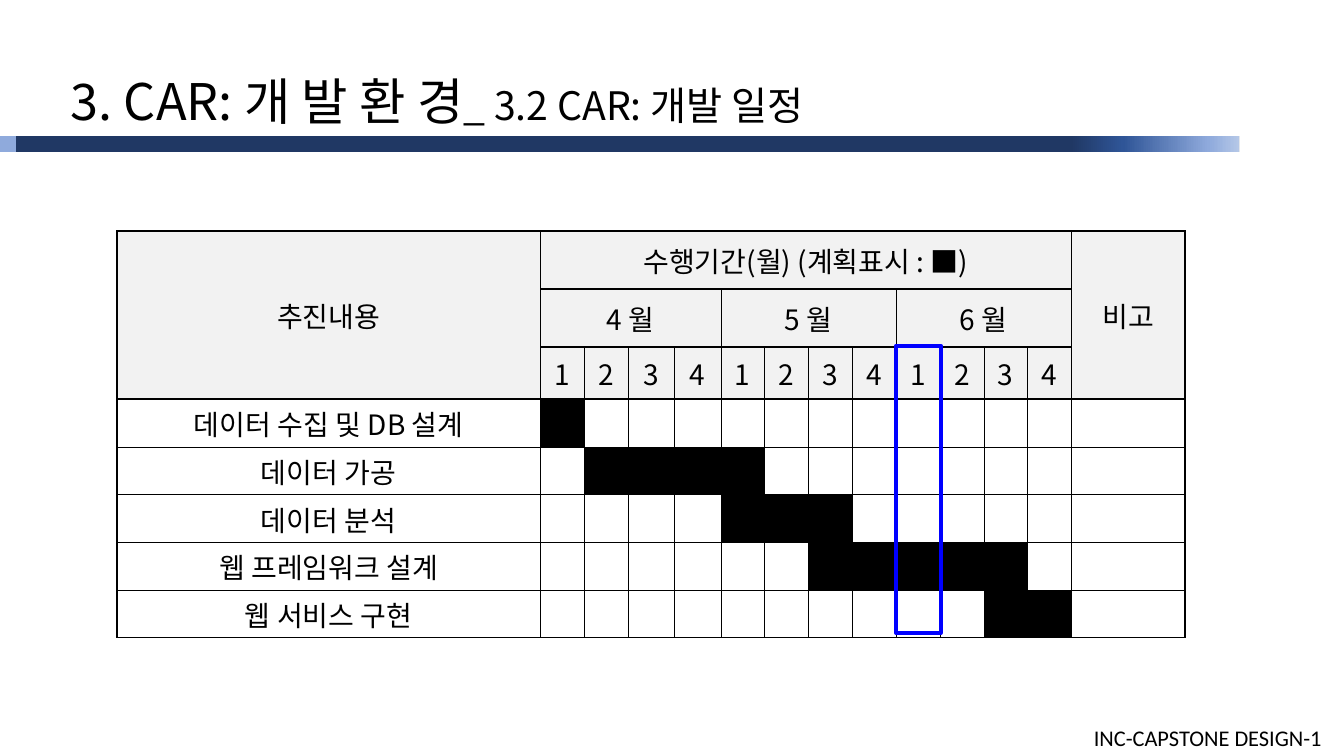
from pptx import Presentation
from pptx.dml.color import RGBColor
from pptx.enum.shapes import MSO_SHAPE
from pptx.enum.text import MSO_ANCHOR, MSO_AUTO_SIZE, PP_ALIGN
from pptx.oxml.ns import qn
from pptx.util import Inches, Pt
from lxml.etree import SubElement

BLACK = RGBColor(0x00, 0x00, 0x00)
HEADER_GRAY = RGBColor(0xF2, 0xF2, 0xF2)
NAVY = RGBColor(0x20, 0x38, 0x64)
BLUE = RGBColor(0x2F, 0x55, 0x97)
LIGHT_BLUE = RGBColor(0x8F, 0xAA, 0xDC)
PALE_BLUE = RGBColor(0xB4, 0xC7, 0xE7)
MARKER_BLUE = RGBColor(0x00, 0x00, 0xFF)

KOREAN_FONT = "Noto Sans CJK KR"
FOOTER_FONT = "Calibri"

THIN, MEDIUM, THICK = 0.28, 1.41, 1.98

# Each task with its first and last week column
TASKS = [
    ("데이터 수집 및 DB 설계", 1, 1),
    ("데이터 가공", 2, 5),
    ("데이터 분석", 5, 7),
    ("웹 프레임워크 설계", 7, 11),
    ("웹 서비스 구현", 11, 12),
]
MONTHS = ["4 월", "5 월", "6 월"]
WEEKS = 4
LAST_WEEK = WEEKS * len(MONTHS)
NOTE_COLUMN = LAST_WEEK + 1
HEADER_ROWS = 3

# Column and row sizes in percent of the slide
TABLE_WIDTH, TASK_WIDTH, NOTE_WIDTH = 79.52, 31.51, 8.48
WIDE_WEEKS, WIDE_WEEK_WIDTH = (3, 4), 3.45
WEEK_WIDTH = ((TABLE_WIDTH - TASK_WIDTH - NOTE_WIDTH - len(WIDE_WEEKS) * WIDE_WEEK_WIDTH)
              / (LAST_WEEK - len(WIDE_WEEKS)))
COLUMN_WIDTHS = [TASK_WIDTH] + [
    WIDE_WEEK_WIDTH if week in WIDE_WEEKS else WEEK_WIDTH
    for week in range(1, LAST_WEEK + 1)] + [NOTE_WIDTH]
ROW_HEIGHTS = [7.67, 7.67, 6.88] + [6.3] * len(TASKS)


class SlideBuilder:
    """Holds the style and the current slide; lengths are percent of the slide."""

    def __init__(self, presentation):
        self.presentation = presentation
        self.slide = presentation.slides.add_slide(presentation.slide_layouts[5])

    def across(self, share):
        return round(self.presentation.slide_width * share / 100)

    def down(self, share):
        return round(self.presentation.slide_height * share / 100)

    def area(self, left, top, width, height):
        return self.across(left), self.down(top), self.across(width), self.down(height)

    def style_run(self, run, size, font=KOREAN_FONT):
        run.font.size = Pt(size)
        run.font.name = font
        run.font.color.rgb = BLACK
        SubElement(run.font._element, qn("a:ea")).set("typeface", font)

    def title(self, area, parts):
        shape = self.slide.shapes.title
        shape.left, shape.top, shape.width, shape.height = self.area(*area)
        text_frame = shape.text_frame
        text_frame.auto_size = MSO_AUTO_SIZE.NONE
        text_frame.vertical_anchor = MSO_ANCHOR.MIDDLE
        text_frame.margin_left = Inches(0.33)
        paragraph = text_frame.paragraphs[0]
        paragraph.alignment = PP_ALIGN.LEFT
        for text, size in parts:
            run = paragraph.add_run()
            run.text = text
            self.style_run(run, size)

    def label(self, area, text, size, font):
        text_frame = self.slide.shapes.add_textbox(*self.area(*area)).text_frame
        text_frame.word_wrap = False
        text_frame.text = text
        self.style_run(text_frame.paragraphs[0].runs[0], size, font)

    def rectangle(self, area):
        shape = self.slide.shapes.add_shape(MSO_SHAPE.RECTANGLE, *self.area(*area))
        shape.shadow.inherit = False
        return shape

    def bar(self, area, color):
        shape = self.rectangle(area)
        shape.line.fill.background()
        shape.fill.solid()
        shape.fill.fore_color.rgb = color

    def gradient_bar(self, area, stops):
        shape = self.rectangle(area)
        shape.line.fill.background()
        shape.fill.gradient()
        shape.fill.gradient_angle = 0
        stop_list = shape._element.spPr.find(qn("a:gradFill")).find(qn("a:gsLst"))
        for stop in list(stop_list):
            stop_list.remove(stop)
        for position, color in stops:
            stop = SubElement(stop_list, qn("a:gs"), pos=str(position * 1000))
            SubElement(stop, qn("a:srgbClr"), val=str(color))

    def outline(self, area, color, width):
        shape = self.rectangle(area)
        shape.fill.background()
        shape.line.color.rgb = color
        shape.line.width = Pt(width)

    def table(self, left, top, columns, rows):
        area = self.area(left, top, sum(columns), sum(rows))
        table = self.slide.shapes.add_table(len(rows), len(columns), *area).table
        table.first_row = table.horz_banding = False
        for column, width in zip(table.columns, columns):
            column.width = self.across(width)
        for row, height in zip(table.rows, rows):
            row.height = self.down(height)
        return table

    def cell(self, table, row, column, text="", fill=None, height=1, width=1, margins=(0.04, 0.04)):
        """Fill one cell or merged block and draw its borders."""
        cell = table.cell(row, column)
        last_row, last_column = row + height - 1, column + width - 1
        if height * width > 1:
            cell.merge(table.cell(last_row, last_column))
        cell.vertical_anchor = MSO_ANCHOR.MIDDLE
        cell.margin_left = cell.margin_right = Inches(margins[0])
        cell.margin_top = cell.margin_bottom = Inches(margins[1])
        if text:
            cell.text_frame.text = text
            paragraph = cell.text_frame.paragraphs[0]
            paragraph.alignment = PP_ALIGN.CENTER
            self.style_run(paragraph.runs[0], 20)

        vertical = {0: MEDIUM, len(table.columns): MEDIUM}
        horizontal = {0: MEDIUM, 1: MEDIUM, 2: MEDIUM, HEADER_ROWS: THICK, len(table.rows): MEDIUM}
        for r in range(row, last_row + 1):
            for c in range(column, last_column + 1):
                part = table.cell(r, c)
                sides = [
                    ("a:lnL", vertical.get(column, THIN), c == column),
                    ("a:lnR", vertical.get(last_column + 1, THIN), c == last_column),
                    ("a:lnT", horizontal.get(row, THIN), r == row),
                    ("a:lnB", horizontal.get(last_row + 1, THIN), r == last_row),
                ]
                for side, weight, outside in sides:
                    if outside or part.is_merge_origin:
                        self.border(part, side, weight)
                if fill is None:
                    part.fill.background()
                else:
                    part.fill.solid()
                    part.fill.fore_color.rgb = fill

    def border(self, cell, side, weight):
        properties = cell._tc.get_or_add_tcPr()
        line = SubElement(properties, qn(side), w=str(Pt(weight)))
        SubElement(SubElement(line, qn("a:solidFill")), qn("a:srgbClr"), val=str(BLACK))


def add_schedule(builder):
    table = builder.table(8.7, 30.6, COLUMN_WIDTHS, ROW_HEIGHTS)

    # Header: task, months, weeks, remarks
    header = {"fill": HEADER_GRAY, "margins": (0.18, 0.09)}
    builder.cell(table, 0, 0, "추진내용", height=HEADER_ROWS, **header)
    builder.cell(table, 0, 1, "수행기간(월) (계획표시 : ■)", width=LAST_WEEK, **header)
    builder.cell(table, 0, NOTE_COLUMN, "비고", height=HEADER_ROWS, **header)
    for index, month in enumerate(MONTHS):
        builder.cell(table, 1, 1 + index * WEEKS, month, width=WEEKS, **header)
    for week in range(LAST_WEEK):
        builder.cell(table, 2, week + 1, str(week % WEEKS + 1), HEADER_GRAY)

    # Tasks with their planned weeks in black
    for row, (task, first, last) in enumerate(TASKS, HEADER_ROWS):
        builder.cell(table, row, 0, task)
        for column in range(1, NOTE_COLUMN + 1):
            builder.cell(table, row, column, fill=BLACK if first <= column <= last else None)


def main():
    presentation = Presentation()
    presentation.slide_width = Inches(13.33)
    presentation.slide_height = Inches(7.5)
    builder = SlideBuilder(presentation)

    # Band under the title
    builder.bar((0, 18, 24.16, 2.1), LIGHT_BLUE)
    builder.bar((1.2, 18, 91, 2.1), NAVY)
    builder.gradient_bar((79.67, 18, 12.53, 2.1),
                         [(0, NAVY), (31, BLUE), (82, LIGHT_BLUE), (100, PALE_BLUE)])

    # Title and footer
    builder.title((2.78, 8.53, 67.14, 9.47),
                  [("3. CAR: 개 발 환 경", 36), ("_ 3.2 CAR: 개발 일정", 28)])
    builder.label((80.65, 95.07, 19.35, 4.93), "INC-CAPSTONE DESIGN-1", 16, FOOTER_FONT)

    # Schedule and current week
    add_schedule(builder)
    builder.outline((66.69, 45.73, 3.3, 38), MARKER_BLUE, 3)

    presentation.save("out.pptx")


if __name__ == "__main__":
    main()
